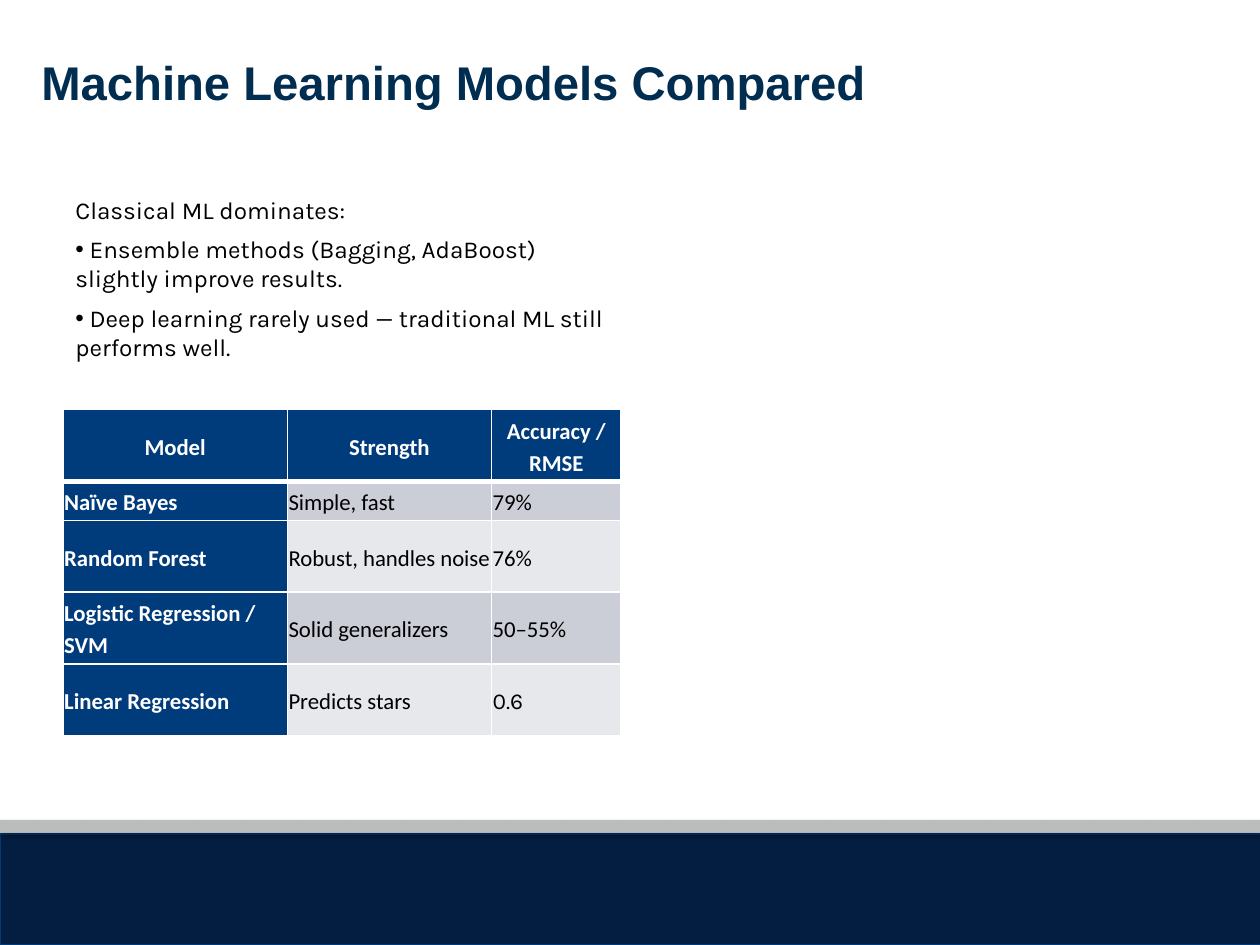
from dataclasses import dataclass

from lxml import etree
from pptx import Presentation
from pptx.dml.color import RGBColor
from pptx.enum.shapes import MSO_SHAPE
from pptx.enum.text import MSO_ANCHOR, PP_ALIGN
from pptx.oxml import parse_xml
from pptx.oxml.ns import nsdecls, qn
from pptx.util import Inches, Pt

RECTANGLE = MSO_SHAPE.RECTANGLE
TOP, MIDDLE, BOTTOM = MSO_ANCHOR.TOP, MSO_ANCHOR.MIDDLE, MSO_ANCHOR.BOTTOM
LEFT, CENTER = PP_ALIGN.LEFT, PP_ALIGN.CENTER

COLORS = {
    "title": "002D50",
    "text": "000000",
    "white": "FFFFFF",
    "navy": "041E42",
    "outline": "003A79",
    "silver": "BBBCBC",
    "header": "003B7C",
    "odd_row": "CCCED7",
    "even_row": "E7E8EC",
}

# The slide is a grid of 100 columns by 75 rows
SLIDE_COLUMNS, SLIDE_ROWS = 100, 75
GRID_UNIT = Inches(0.1)

TABLE_COLUMNS = (17.8, 16.2, 10.3)
TALL_ROW, SHORT_ROW = 5.7, 3.1
TABLE_ROWS = (TALL_ROW, SHORT_ROW, TALL_ROW, TALL_ROW, TALL_ROW)
MODELS = (
    ("Model", "Strength", "Accuracy / RMSE"),
    ("Naïve Bayes", "Simple, fast", "79%"),
    ("Random Forest", "Robust, handles noise", "76%"),
    ("Logistic Regression / SVM", "Solid generalizers", "50–55%"),
    ("Linear Regression", "Predicts stars", "0.6"),
)


@dataclass(frozen=True)
class Area:
    left: float
    top: float
    width: float
    height: float

    def emu(self) -> list[int]:
        return [grid(n) for n in (self.left, self.top, self.width, self.height)]


@dataclass(frozen=True)
class Style:
    font: str
    size: float
    color: str
    bold: bool = False


@dataclass(frozen=True)
class Band:
    area: Area
    fill: str
    outline: str | None = None


@dataclass(frozen=True)
class Line:
    text: str
    bullet: bool = False


@dataclass(frozen=True)
class TextBlock:
    area: Area
    style: Style
    anchor: MSO_ANCHOR
    lines: tuple[Line, ...]
    space_after: float = 0


FOOTER = (
    Band(Area(0, 66.2, 100.2, 8.8), "navy", "outline"),
    Band(Area(0, 65.1, 100, 1), "silver"),
)
TEXTS = (
    TextBlock(Area(2.3, 3.7, 95, 9.6), Style("Arial", 27, "title", True), TOP,
              (Line("Machine Learning Models Compared"),)),
    TextBlock(Area(5, 16.8, 44.2, 12.4), Style("Karla", 13.9, "text"), BOTTOM,
              (Line("Classical ML dominates:"),
               Line(" Ensemble methods (Bagging, AdaBoost) slightly improve results.", True),
               Line(" Deep learning rarely used — traditional ML still performs well.", True)),
              space_after=6),
)
TABLE_AREA = Area(5, 32.5, sum(TABLE_COLUMNS), sum(TABLE_ROWS))


def grid(units: float) -> int:
    return round(units * GRID_UNIT)


def rgb(name: str) -> RGBColor:
    return RGBColor.from_string(COLORS[name])


def apply(target, formats: dict) -> None:
    for attribute, value in formats.items():
        setattr(target, attribute, value)


def write(paragraph, text: str, style: Style, formats: dict) -> None:
    run = paragraph.add_run()
    run.text = text
    apply(run.font, {"name": style.font, "size": Pt(style.size), "bold": style.bold})
    run.font.color.rgb = rgb(style.color)
    apply(paragraph, formats)


def draw_band(slide, band: Band) -> None:
    shape = slide.shapes.add_shape(RECTANGLE, *band.area.emu())
    shape.fill.solid()
    shape.fill.fore_color.rgb = rgb(band.fill)
    if band.outline:
        shape.line.color.rgb = rgb(band.outline)
        shape.line.width = Pt(0.75)
    else:
        shape.line.fill.background()
    shape.shadow.inherit = False
    shape.element.spPr.find(qn("a:effectLst")).append(parse_xml(
        f'<a:outerShdw {nsdecls("a")} blurRad="{Pt(3.1)}" dist="{Pt(1.8)}" dir="5400000"'
        ' rotWithShape="0"><a:srgbClr val="000000"><a:alpha val="35000"/></a:srgbClr>'
        '</a:outerShdw>'))


def add_bullet(paragraph) -> None:
    properties = paragraph._p.get_or_add_pPr()
    properties.set("marL", "0")
    properties.set("indent", "0")
    etree.SubElement(properties, qn("a:buFont")).set("typeface", "Arial")
    etree.SubElement(properties, qn("a:buChar")).set("char", "•")


def draw_text(slide, block: TextBlock) -> None:
    frame = slide.shapes.add_textbox(*block.area.emu()).text_frame
    apply(frame, {"word_wrap": True, "vertical_anchor": block.anchor})
    for index, line in enumerate(block.lines):
        paragraph = frame.add_paragraph() if index else frame.paragraphs[0]
        write(paragraph, line.text, block.style, {"space_after": Pt(block.space_after)})
        if line.bullet:
            add_bullet(paragraph)


def add_borders(cell, widths: dict[str, float]) -> None:
    """Put the border lines ahead of the cell's fill, as the schema asks."""
    properties = cell._tc.get_or_add_tcPr()
    for position, (side, width) in enumerate(widths.items()):
        properties.insert(position, parse_xml(
            f'<a:ln{side} {nsdecls("a")} w="{Pt(width)}"><a:solidFill>'
            f'<a:srgbClr val="{COLORS["white"]}"/></a:solidFill></a:ln{side}>'))


def draw_cell(cell, text: str, row: int, column: int) -> None:
    is_heading = row == 0 or column == 0
    stripe = "odd_row" if row % 2 else "even_row"
    cell.fill.solid()
    cell.fill.fore_color.rgb = rgb("header" if is_heading else stripe)
    apply(cell, {"vertical_anchor": MIDDLE} | dict.fromkeys(
        ("margin_left", "margin_right", "margin_top", "margin_bottom"), Inches(0.01)))
    font = "Karla" if text == "0.6" else "Calibri"
    style = Style(font, 13, "white" if is_heading else "text", is_heading)
    write(cell.text_frame.paragraphs[0], text, style,
          {"alignment": LEFT if row else CENTER, "line_spacing": 1.15, "space_after": Pt(8)})
    add_borders(cell, {"L": 1, "R": 1, "T": 3 if row == 1 else 1, "B": 1 if row else 3})


def draw_table(slide) -> None:
    table = slide.shapes.add_table(
        len(TABLE_ROWS), len(TABLE_COLUMNS), *TABLE_AREA.emu()).table
    for column, width in zip(table.columns, TABLE_COLUMNS):
        column.width = grid(width)
    for row, height in zip(table.rows, TABLE_ROWS):
        row.height = grid(height)
    for row, texts in enumerate(MODELS):
        for column, text in enumerate(texts):
            draw_cell(table.cell(row, column), text, row, column)


def main() -> None:
    presentation = Presentation()
    apply(presentation, {"slide_width": grid(SLIDE_COLUMNS), "slide_height": grid(SLIDE_ROWS)})
    slide = presentation.slides.add_slide(presentation.slide_layouts[6])
    for band in FOOTER:
        draw_band(slide, band)
    for block in TEXTS:
        draw_text(slide, block)
    draw_table(slide)
    presentation.save("out.pptx")


if __name__ == "__main__":
    main()
